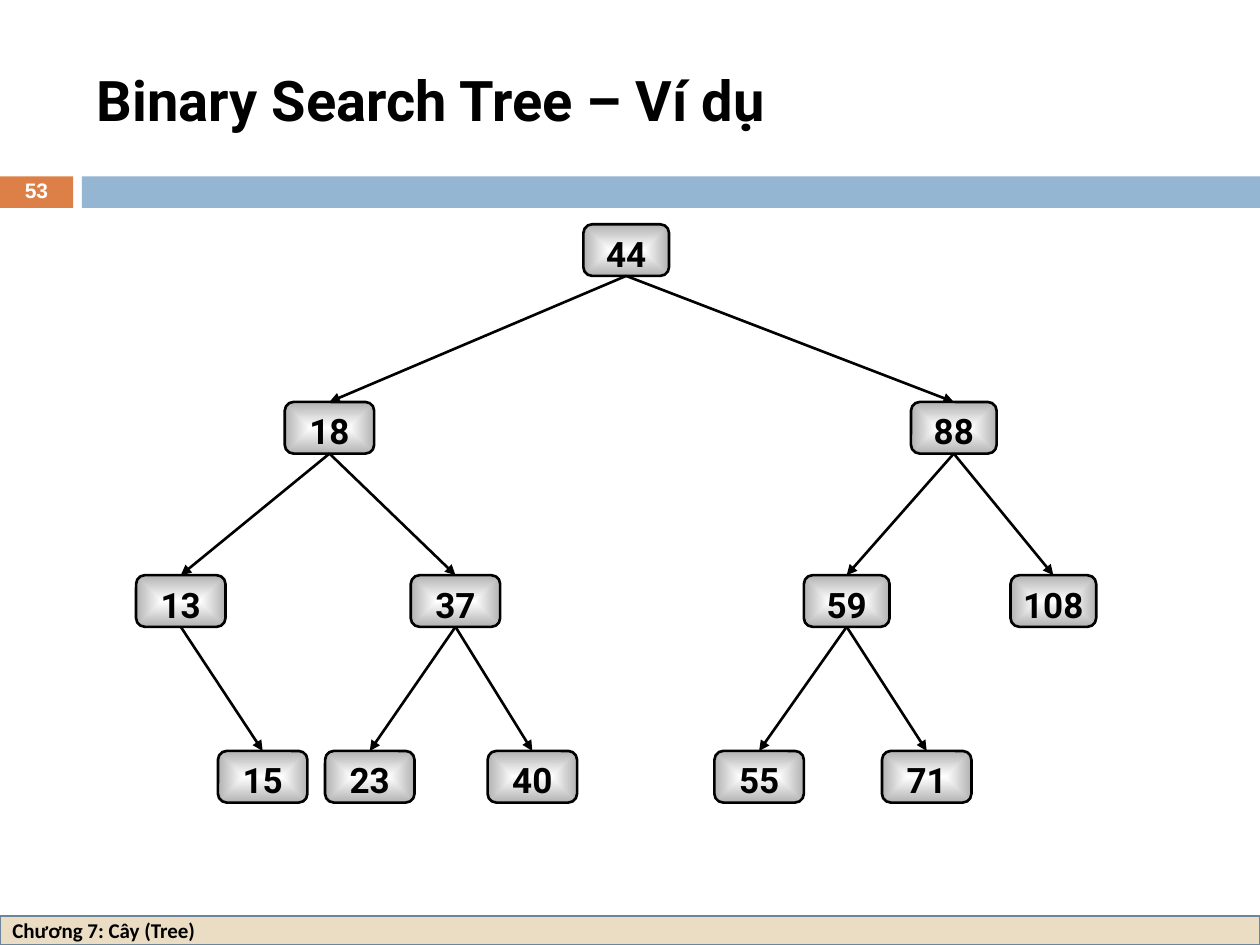
from dataclasses import dataclass
from typing import Optional

from lxml.etree import SubElement
from pptx import Presentation
from pptx.dml.color import RGBColor
from pptx.enum.shapes import MSO_CONNECTOR, MSO_SHAPE
from pptx.enum.text import MSO_ANCHOR, PP_ALIGN
from pptx.oxml.ns import qn
from pptx.util import Inches, Pt

COLORS = {
    "black": "000000",
    "white": "FFFFFF",
    "node_edge": "B2B2B2",
    "number_bar": "DD8047",
    "title_bar": "94B6D2",
    "footer": "EBDDC3",
    "footer_line": "6B859A",
}
COLUMNS = 100  # square grid cells across the slide; the height holds 75 rows
LEVEL_ROWS = (17.8, 31.9, 45.65, 59.6)
NODE_HEIGHT = 4.1
BOTTOM, TOP = 2, 0


@dataclass(frozen=True)
class Node:
    key: int
    center: float
    level: int
    parent: Optional[int] = None
    width: float = 7.1


NODES = (
    Node(44, 49.7, 0, width=6.8),
    Node(18, 26.15, 1, 44),
    Node(88, 75.7, 1, 44, width=6.8),
    Node(13, 14.35, 2, 18),
    Node(37, 36.15, 2, 18),
    Node(59, 67.2, 2, 88, width=6.8),
    Node(108, 83.6, 2, 88, width=6.8),
    Node(15, 20.85, 3, 13),
    Node(23, 29.35, 3, 37),
    Node(40, 42.25, 3, 37),
    Node(55, 60.25, 3, 59),
    Node(71, 73.55, 3, 59),
)

prs = Presentation()
prs.slide_width, prs.slide_height = Inches(10), Inches(7.5)
slide = prs.slides.add_slide(prs.slide_layouts[6])


def cells(*counts: float) -> list[int]:
    """Turn counts of grid cells into lengths."""
    return [round(prs.slide_width * count / COLUMNS) for count in counts]


def color(name: str) -> RGBColor:
    return RGBColor.from_string(COLORS[name])


def write(shape, text: str, *, size: float, font: str = "Roboto", ink: str = "black",
          align=PP_ALIGN.LEFT, anchor=MSO_ANCHOR.MIDDLE, spacing: float = 1.0,
          inset: tuple[float, float] = (0.1, 0.05)) -> None:
    frame = shape.text_frame
    frame.word_wrap = True
    frame.vertical_anchor = anchor
    frame.margin_left = frame.margin_right = Inches(inset[0])
    frame.margin_top = frame.margin_bottom = Inches(inset[1])
    paragraph = frame.paragraphs[0]
    paragraph.alignment = align
    paragraph.line_spacing = spacing
    run = paragraph.add_run()
    run.text = text
    run.font.size, run.font.name, run.font.bold = Pt(size), font, True
    run.font.color.rgb = color(ink)


def add_bar(left: float, top: float, width: float, height: float,
            fill: str, line: Optional[str] = None):
    bar = slide.shapes.add_shape(MSO_SHAPE.RECTANGLE, *cells(left, top, width, height))
    bar.shadow.inherit = False
    bar.fill.solid()
    bar.fill.fore_color.rgb = color(fill)
    if line:
        bar.line.color.rgb = color(line)
        bar.line.width = Pt(1.5)
    else:
        bar.line.fill.background()
    return bar


def fill_from_center(shape, inner: str, outer: str) -> None:
    shape.fill.gradient()
    for stop, name in zip(shape.fill.gradient_stops, (inner, outer)):
        stop.color.rgb = color(name)
    gradient = shape.element.spPr.find(qn("a:gradFill"))
    gradient.remove(gradient.find(qn("a:lin")))
    path = SubElement(gradient, qn("a:path"), {"path": "rect"})
    SubElement(path, qn("a:fillToRect"), {side: "50000" for side in "ltrb"})


def add_node(node: Node):
    box = slide.shapes.add_shape(
        MSO_SHAPE.ROUNDED_RECTANGLE,
        *cells(node.center - node.width / 2, LEVEL_ROWS[node.level],
               node.width, NODE_HEIGHT))
    box.shadow.inherit = False
    box.adjustments[0] = 0.17
    fill_from_center(box, "white", "node_edge")
    box.line.color.rgb = color("black")
    box.line.width = Pt(1.5)
    write(box, str(node.key), size=20, align=PP_ALIGN.CENTER,
          anchor=MSO_ANCHOR.TOP, spacing=1.13, inset=(0, 0))
    return box


def add_branch(parent, child) -> None:
    branch = slide.shapes.add_connector(MSO_CONNECTOR.STRAIGHT, 0, 0, 0, 0)
    branch.begin_connect(parent, BOTTOM)
    branch.end_connect(child, TOP)
    branch.line.color.rgb = color("black")
    branch.line.width = Pt(1.5)
    SubElement(branch.line._get_or_add_ln(), qn("a:tailEnd"), {"type": "triangle"})
    SubElement(branch.element.spPr, qn("a:effectLst"))


def main() -> None:
    add_bar(0, 14, 5.8, 2.5, "number_bar")
    add_bar(6.5, 14, 93.5, 2.5, "title_bar")
    footer = add_bar(0, 72.7, 100, 2.3, "footer", "footer_line")
    write(footer, "Chương 7: Cây (Tree)", size=12, font="Calibri")

    title = slide.shapes.add_textbox(*cells(6.7, 2.5, 89.2, 10.8))
    write(title, "Binary Search Tree – Ví dụ", size=32)
    page_number = slide.shapes.add_textbox(*cells(0, 13.9, 5.8, 2.7))
    write(page_number, "53", size=12, font="Arial", ink="white",
          align=PP_ALIGN.CENTER, spacing=0.8)

    boxes = {node.key: add_node(node) for node in NODES}
    for node in NODES:
        if node.parent is not None:
            add_branch(boxes[node.parent], boxes[node.key])

    prs.save("out.pptx")


if __name__ == "__main__":
    main()
